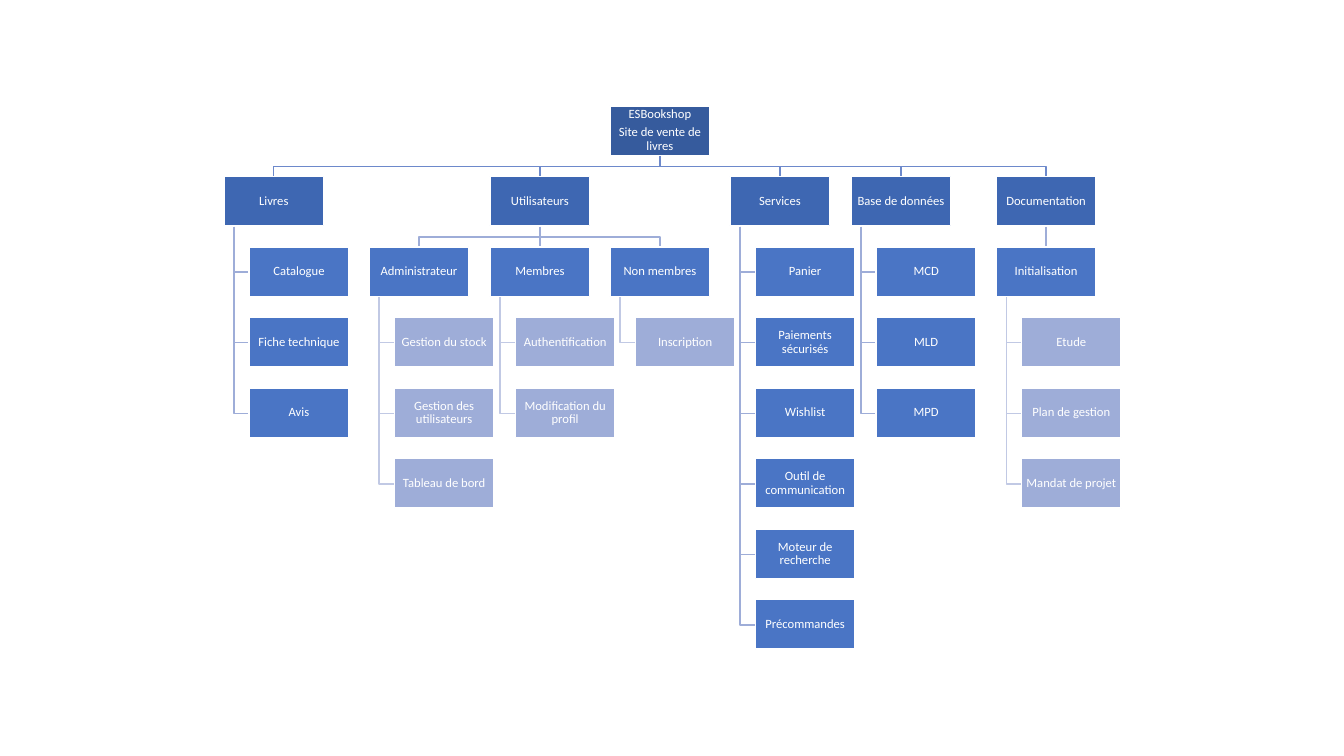
from dataclasses import dataclass
from typing import Iterator, Optional

from pptx import Presentation
from pptx import util as u
from pptx.dml.color import RGBColor
from pptx.enum import shapes, text
from pptx.oxml.ns import qn
from lxml import etree

WHITE = RGBColor(0xFF, 0xFF, 0xFF)
# One colour per depth of the tree; connectors take the depth of the child
BOX_COLOURS = [RGBColor(0x36, 0x5B, 0x9D), RGBColor(0x3E, 0x67, 0xB2),
               RGBColor(0x4A, 0x75, 0xC5), RGBColor(0x9E, 0xAD, 0xD8)]
LINE_COLOURS = {1: RGBColor(0x6D, 0x89, 0xCB), 2: RGBColor(0x9E, 0xAD, 0xD8),
                3: RGBColor(0xC1, 0xC9, 0xE4)}

BOX_WIDTH, BOX_HEIGHT = 0.99, 0.49
FIRST_ROW, ROW_PITCH = 1.05, 0.7
HANGING_INDENT, SPINE_OFFSET = 0.25, 0.1

Point = tuple[float, float]


@dataclass
class Node:
    """A box; without a left of its own it hangs below its parent's edge."""
    lines: list[str]
    left: Optional[float] = None
    children: tuple["Node", ...] = ()


@dataclass
class Box:
    node: Node
    left: float
    top: float
    depth: int
    parent: Optional["Box"] = None

    @property
    def centre(self) -> float:
        return self.left + BOX_WIDTH / 2


def branch(name: str, left: float, *leaves: str) -> Node:
    return Node([name], left, tuple(Node([leaf]) for leaf in leaves))


# Contents of the tree
USERS = Node(["Utilisateurs"], 4.86, (
    branch("Administrateur", 3.66, "Gestion du stock",
           "Gestion des utilisateurs", "Tableau de bord"),
    branch("Membres", 4.86, "Authentification", "Modification du profil"),
    branch("Non membres", 6.05, "Inscription"),
))
DOCUMENTATION = Node(["Documentation"], 9.88, (
    branch("Initialisation", 9.88, "Etude", "Plan de gestion",
           "Mandat de projet"),
))
BOOKSHOP = Node(["ESBookshop", "Site de vente de livres"], 6.05, (
    branch("Livres", 2.22, "Catalogue", "Fiche technique", "Avis"),
    USERS,
    branch("Services", 7.24, "Panier", "Paiements sécurisés", "Wishlist",
           "Outil de communication", "Moteur de recherche", "Précommandes"),
    branch("Base de données", 8.44, "MCD", "MLD", "MPD"),
    DOCUMENTATION,
))


def place(node: Node, parent: Optional[Box] = None,
          position: int = 0) -> Iterator[Box]:
    """Yield the boxes of a subtree, parents first."""
    if parent is None:
        box = Box(node, node.left, FIRST_ROW, 0)
    elif node.left is None:
        box = Box(node, parent.left + HANGING_INDENT,
                  parent.top + ROW_PITCH * (position + 1),
                  parent.depth + 1, parent)
    else:
        box = Box(node, node.left, parent.top + ROW_PITCH,
                  parent.depth + 1, parent)
    yield box
    for index, child in enumerate(node.children):
        yield from place(child, box, index)


def route(box: Box) -> list[Point]:
    """Corners of the line that joins a box to its parent."""
    parent = box.parent
    start = parent.top + 0.5
    if box.node.left is None:
        spine, middle = parent.left + SPINE_OFFSET, box.top + 0.25
        return [(spine, start), (spine, middle), (box.left, middle)]
    if box.left == parent.left:
        return [(box.centre, start), (box.centre, box.top)]
    bus = start + 0.1
    return [(parent.centre, start), (parent.centre, bus),
            (box.centre, bus), (box.centre, box.top)]


def draw_line(slide, box: Box) -> None:
    points = [(u.Inches(x), u.Inches(y)) for x, y in route(box)]
    if len(points) == 2:
        line = slide.shapes.add_connector(
            shapes.MSO_CONNECTOR.STRAIGHT, *points[0], *points[1])
        etree.SubElement(line._element.spPr, qn("a:effectLst"))
    else:
        builder = slide.shapes.build_freeform(*points[0])
        builder.add_line_segments(points[1:], close=False)
        line = builder.convert_to_shape()
        line.shadow.inherit = False
        line.fill.background()
    line.line.color.rgb = LINE_COLOURS[box.depth]
    line.line.width = u.Pt(1)


def draw_box(slide, box: Box) -> None:
    shape = slide.shapes.add_shape(
        shapes.MSO_SHAPE.RECTANGLE, u.Inches(box.left), u.Inches(box.top),
        u.Inches(BOX_WIDTH), u.Inches(BOX_HEIGHT))
    shape.shadow.inherit = False
    shape.fill.solid()
    shape.fill.fore_color.rgb = BOX_COLOURS[box.depth]
    shape.line.color.rgb = WHITE
    shape.line.width = u.Pt(1)

    frame = shape.text_frame
    frame.word_wrap = True
    frame.vertical_anchor = text.MSO_ANCHOR.MIDDLE
    frame.margin_left = frame.margin_right = u.Inches(0.01)
    frame.margin_top = frame.margin_bottom = u.Inches(0.01)
    for index, words in enumerate(box.node.lines):
        paragraph = frame.add_paragraph() if index else frame.paragraphs[0]
        paragraph.alignment = text.PP_ALIGN.CENTER
        paragraph.line_spacing = 0.9
        paragraph.space_after = u.Pt(3.15)
        run = paragraph.add_run()
        run.text = words
        run.font.name = "Calibri"
        run.font.size = u.Pt(9)
        run.font.color.rgb = WHITE


presentation = Presentation()
presentation.slide_width = u.Inches(13.33)
presentation.slide_height = u.Inches(7.5)
slide = presentation.slides.add_slide(presentation.slide_layouts[6])

# Lines first, so that the boxes lie over them
boxes = list(place(BOOKSHOP))
for box in boxes[1:]:
    draw_line(slide, box)
for box in boxes:
    draw_box(slide, box)

presentation.save("out.pptx")
